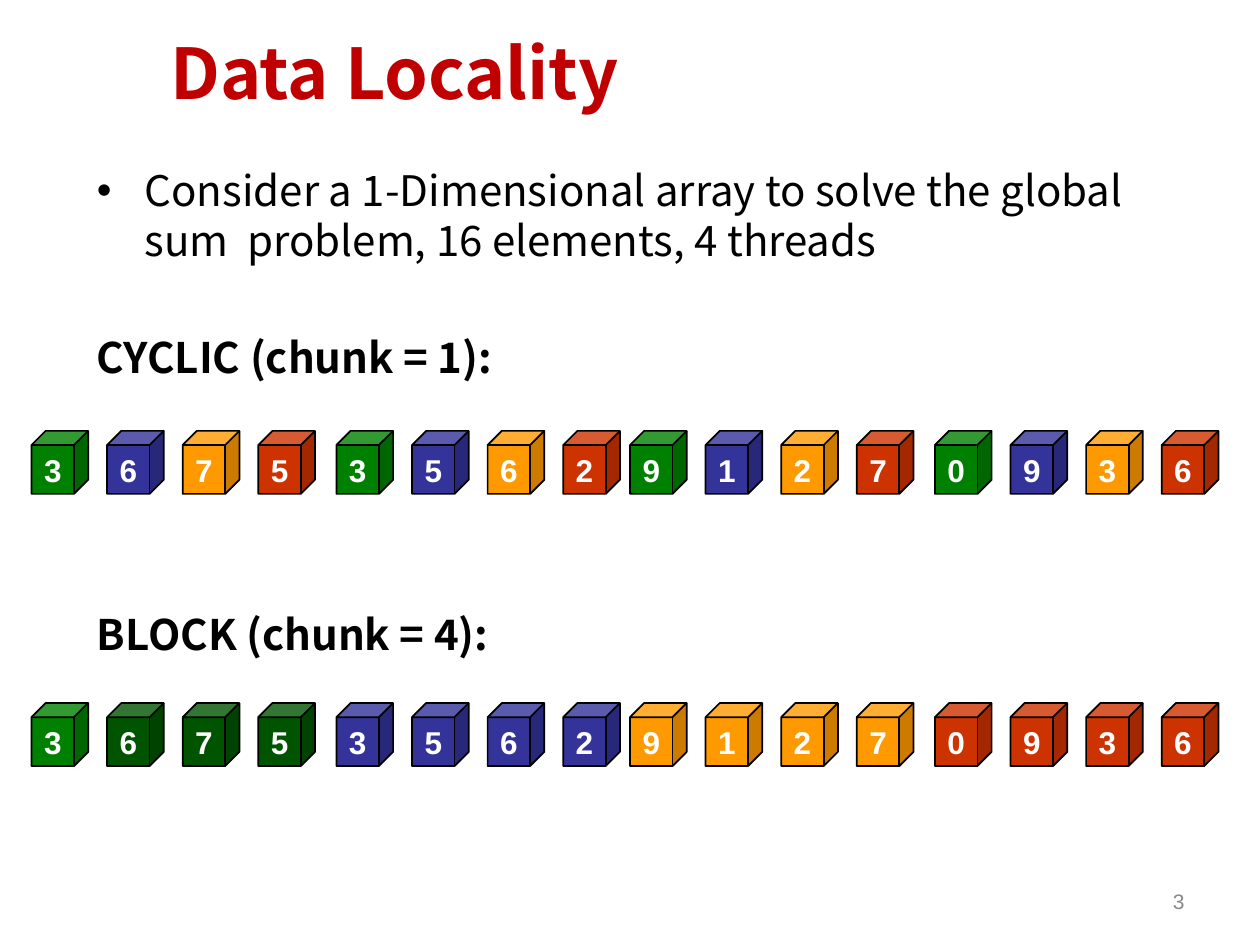
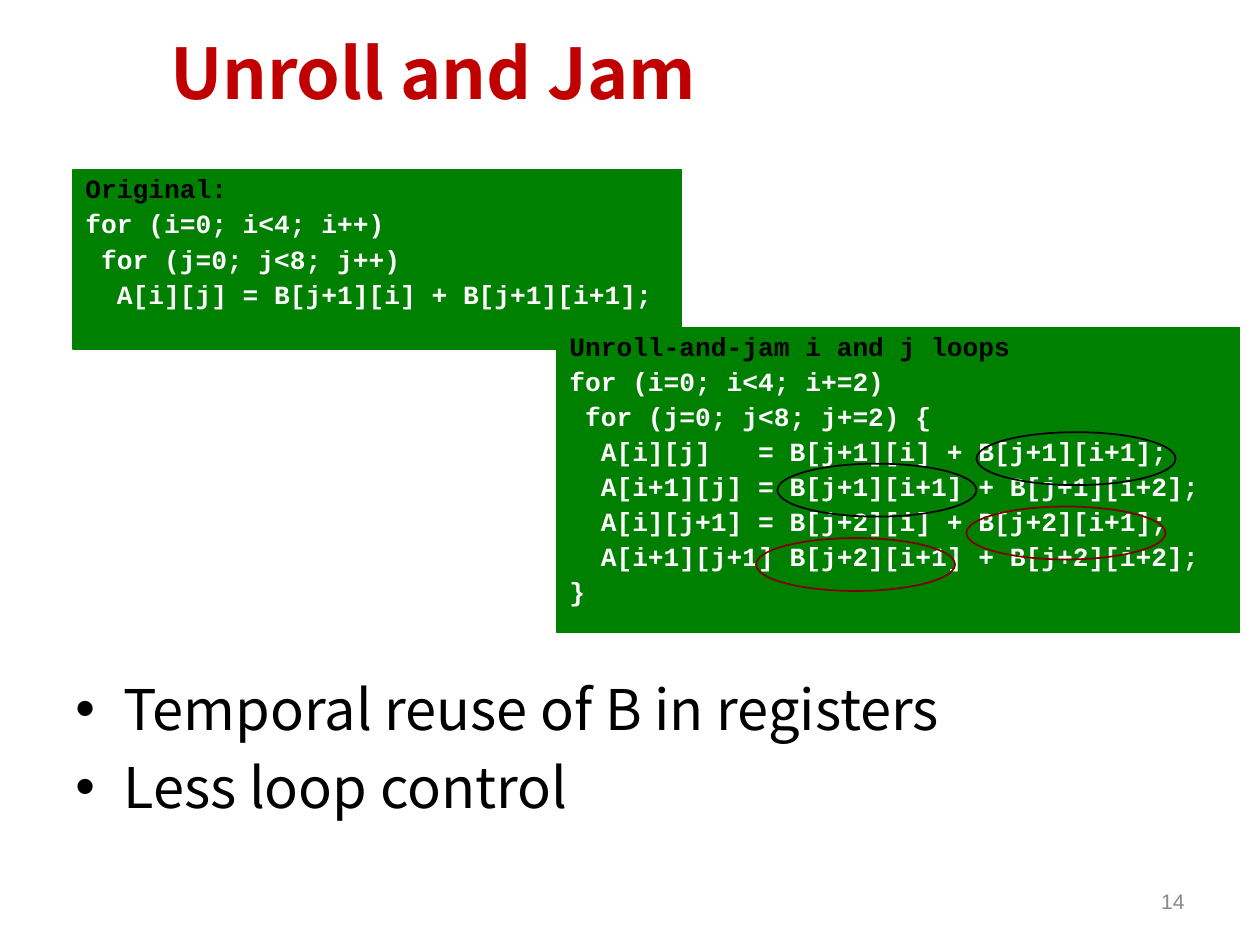
"""Build two lecture slides on data locality and loop unrolling."""
from lxml import etree
from pptx import Presentation
from pptx import util as u
from pptx.dml.color import RGBColor
from pptx.enum import shapes, text
from pptx.oxml import ns

COLORS = {
    "title": "C00000", "ink": "000000", "paper": "FFFFFF", "number": "898989",
    "green": "008000", "dark_green": "005400", "blue": "333399",
    "orange": "FF9900", "red": "CC3300", "maroon": "800000",
}
TITLE_FONT, BODY_FONT = "Noto Sans CJK KR", "Noto Sans CJK SC"
LABEL_FONT, CODE_FONT = "Arial", "Courier New"
HANGING = 0.38

ELEMENTS = [3, 6, 7, 5, 3, 5, 6, 2, 9, 1, 2, 7, 0, 9, 3, 6]
QUARTER_LEFTS = [0.25, 2.67, 5, 7.42]
THREAD_COLORS = ["green", "blue", "orange", "red"]
CYCLIC_COLORS = THREAD_COLORS * 4
BLOCK_COLORS = ["green"] + ["dark_green"] * 3 + [
    color for color in THREAD_COLORS[1:] for _ in range(4)]

ORIGINAL_LOOP = [
    "Original:",
    "for (i=0; i<4; i++)",
    " for (j=0; j<8; j++)",
    "  A[i][j] = B[j+1][i] + B[j+1][i+1];",
]
UNROLLED_LOOP = [
    "Unroll-and-jam i and j loops",
    "for (i=0; i<4; i+=2)",
    " for (j=0; j<8; j+=2) {",
    "  A[i][j]   = B[j+1][i] + B[j+1][i+1];",
    "  A[i+1][j] = B[j+1][i+1] + B[j+1][i+2];",
    "  A[i][j+1] = B[j+2][i] + B[j+2][i+1];",
    "  A[i+1][j+1] B[j+2][i+1] + B[j+2][i+2];",
    "}",
]
REUSED_TERMS = [(7.75, 3.43, "ink"), (6.17, 3.68, "ink"),
                (7.67, 4.02, "maroon"), (6, 4.27, "maroon")]


def rgb(color):
    return RGBColor.from_string(COLORS[color])


class Deck:
    def __init__(self):
        self.presentation = Presentation()
        self.presentation.slide_width = u.Inches(10)
        self.presentation.slide_height = u.Inches(7.5)
        self.slide = None

    def style(self, paragraph, font, size, color, bold=False):
        for run in paragraph.runs:
            run.font.name = font
            run.font.size = u.Pt(size)
            run.font.bold = bold
            run.font.color.rgb = rgb(color)
            east_asian = etree.SubElement(run.font._element, ns.qn("a:ea"))
            east_asian.set("typeface", font)

    def hang(self, paragraph, bullet=False):
        properties = paragraph._p.get_or_add_pPr()
        properties.set("marL", str(u.Inches(HANGING)))
        properties.set("indent", str(-u.Inches(HANGING)))
        if bullet:
            font = etree.SubElement(properties, ns.qn("a:buFont"))
            font.set("typeface", LABEL_FONT)
            etree.SubElement(properties, ns.qn("a:buChar")).set("char", "•")

    def start(self, title, number):
        self.slide = self.presentation.slides.add_slide(
            self.presentation.slide_layouts[5])
        heading = self.slide.shapes.title
        heading.left, heading.top = u.Inches(1.25), u.Inches(0)
        heading.width, heading.height = u.Inches(8.56), u.Inches(1.14)
        heading.text_frame.text = title
        heading.text_frame.vertical_anchor = text.MSO_ANCHOR.MIDDLE
        line = heading.text_frame.paragraphs[0]
        line.alignment = text.PP_ALIGN.LEFT
        self.style(line, TITLE_FONT, 40, "title", True)

        frame = self.text_box(7.17, 6.95, 2.33, 0.4)
        frame.text = str(number)
        frame.vertical_anchor = text.MSO_ANCHOR.MIDDLE
        frame.paragraphs[0].alignment = text.PP_ALIGN.RIGHT
        self.style(frame.paragraphs[0], LABEL_FONT, 12, "number")

    def text_box(self, *box):
        frame = self.slide.shapes.add_textbox(*map(u.Inches, box)).text_frame
        frame.word_wrap = True
        return frame

    def body(self, box, size, lines):
        frame = self.text_box(*box)
        frame.text = "\n".join(content for content, _, _ in lines)
        for paragraph, (_, gap, bullet) in zip(frame.paragraphs, lines):
            paragraph.line_spacing = u.Pt(round(size * 1.19, 1))
            paragraph.space_before = u.Pt(gap)
            self.hang(paragraph, bullet)
            self.style(paragraph, BODY_FONT, size, "ink", not bullet)

    def shape(self, kind, box, fill, line, weight):
        item = self.slide.shapes.add_shape(kind, *map(u.Inches, box))
        item.shadow.inherit = False
        if fill:
            item.fill.solid()
            item.fill.fore_color.rgb = rgb(fill)
        else:
            item.fill.background()
        item.line.color.rgb = rgb(line)
        item.line.width = u.Pt(weight)
        return item

    def cube_row(self, top, colors):
        for index, (value, color) in enumerate(zip(ELEMENTS, colors)):
            quarter, place = divmod(index, 4)
            left = QUARTER_LEFTS[quarter] + 0.6 * place
            cube = self.shape(shapes.MSO_SHAPE.CUBE, (left, top, 0.45, 0.5),
                              color, "ink", 1)
            frame = cube.text_frame
            frame.text = str(value)
            frame.word_wrap = False
            frame.vertical_anchor = text.MSO_ANCHOR.MIDDLE
            frame.paragraphs[0].alignment = text.PP_ALIGN.CENTER
            self.style(frame.paragraphs[0], LABEL_FONT, 18, "paper", True)

    def code(self, box, lines):
        panel = self.shape(shapes.MSO_SHAPE.RECTANGLE, box, "green", "green", 0.75)
        frame = panel.text_frame
        frame.text = "\n".join(lines)
        frame.vertical_anchor = text.MSO_ANCHOR.TOP
        for index, paragraph in enumerate(frame.paragraphs):
            paragraph.alignment = text.PP_ALIGN.LEFT
            paragraph.line_spacing = 0.9
            paragraph.space_before = u.Pt(3.8)
            self.hang(paragraph)
            self.style(paragraph, CODE_FONT, 15, "paper" if index else "ink", True)

    def ring(self, left, top, color):
        self.shape(shapes.MSO_SHAPE.OVAL, (left, top, 1.58, 0.42), None, color, 1)


def main():
    deck = Deck()

    deck.start("Data Locality", 3)
    deck.body((0.67, 1.26, 8.75, 5.82), 24, [
        ("Consider a 1-Dimensional array to solve the global sum  problem, "
         "16 elements, 4 threads", 4.8, True),
        ("CYCLIC (chunk = 1):", 38.3, False),
        ("BLOCK (chunk = 4):", 129.7, False),
    ])
    deck.cube_row(3.42, CYCLIC_COLORS)
    deck.cube_row(5.58, BLOCK_COLORS)

    deck.start("Unroll and Jam", 14)
    deck.body((0.5, 5.31, 8.75, 0.94), 32, [
        ("Temporal reuse of B in registers", 6.4, True),
        ("Less loop control", 6.4, True),
    ])
    deck.code((0.58, 1.35, 4.83, 1.42), ORIGINAL_LOOP)
    deck.code((4.42, 2.6, 5.42, 2.42), UNROLLED_LOOP)
    for left, top, color in REUSED_TERMS:
        deck.ring(left, top, color)

    deck.presentation.save("out.pptx")


if __name__ == "__main__":
    main()
